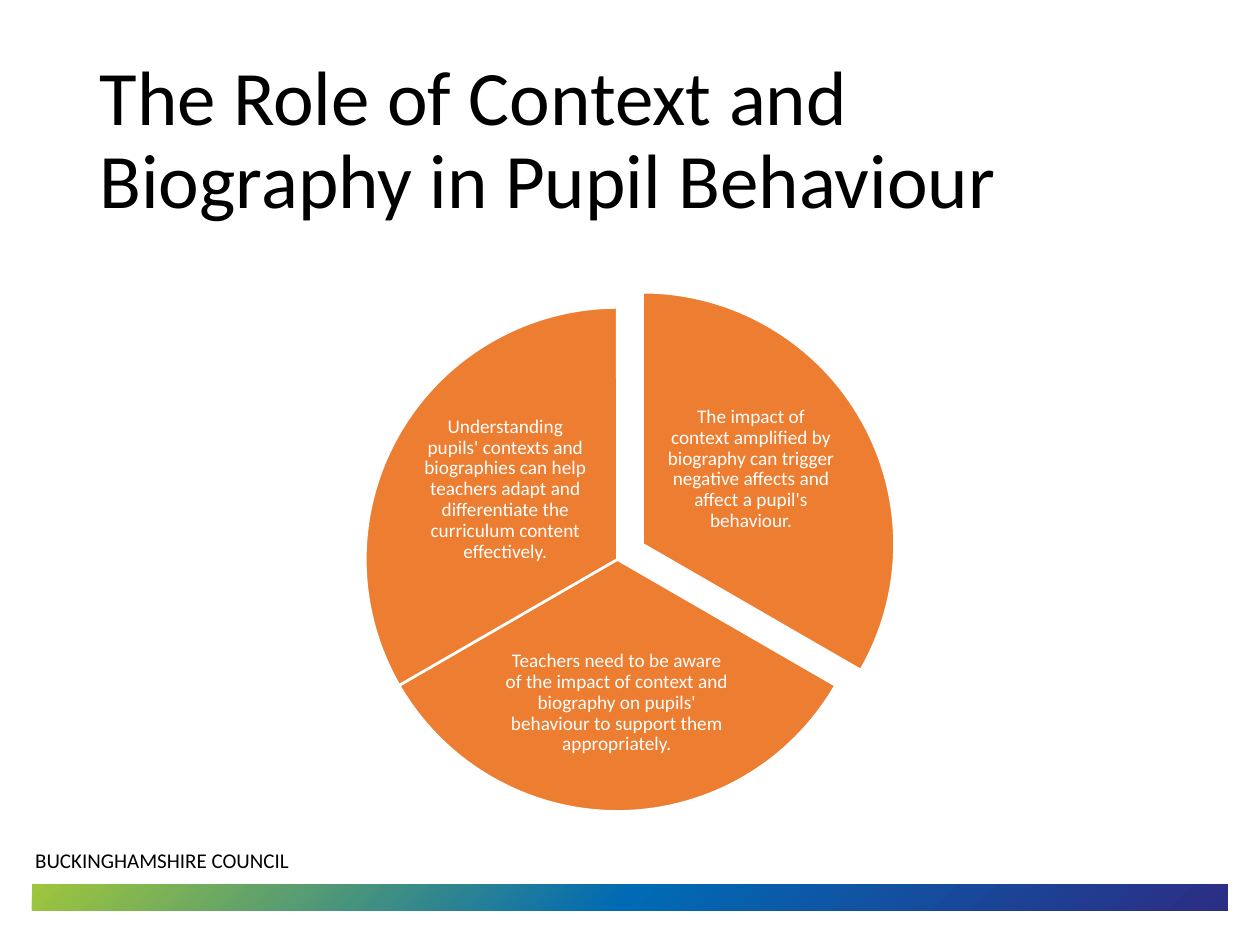
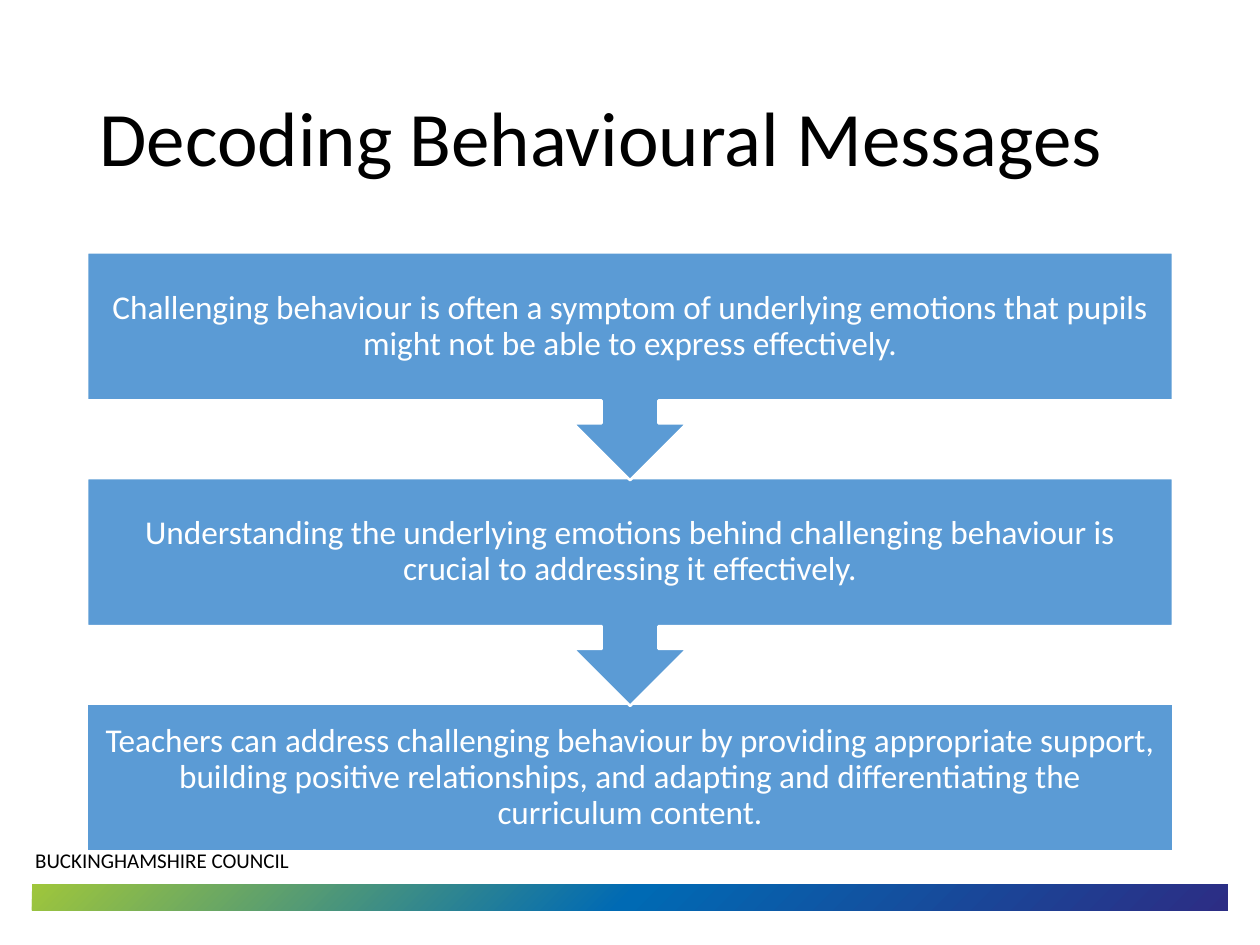
from pptx import Presentation
from pptx import util as u
from pptx.dml.color import RGBColor
from pptx.enum import shapes, text
from pptx.oxml import parse_xml
from pptx.oxml.ns import nsdecls

COLOURS = {"black": "000000", "white": "FFFFFF", "wedge": "ED7D31", "step": "5B9BD5",
           "navy": "2C2D84", "blue": "006AB4", "green": "9FC63B"}
FONT = "Calibri"
LEFT, WIDTH = 49.7, 620.6


def write(box, words, size, colour, align, anchor, inset=None, spacing=None):
    frame = box.text_frame
    frame.word_wrap = True
    frame.auto_size = text.MSO_AUTO_SIZE.NONE
    frame.vertical_anchor = anchor
    if inset is not None:
        frame.margin_left = frame.margin_right = u.Pt(inset)
        frame.margin_top = frame.margin_bottom = u.Pt(inset)
    para = frame.paragraphs[0]
    para.alignment = align
    if spacing:
        para.line_spacing = spacing
    span = para.add_run()
    span.text = words
    span.font.name = FONT
    span.font.size = u.Pt(size)
    span.font.color.rgb = RGBColor.from_string(COLOURS[colour])


def add_block(slide, kind, place, colour):
    """Add a filled shape with a thin white outline."""
    block = slide.shapes.add_shape(kind, *map(u.Pt, place))
    block.shadow.inherit = False
    block.fill.solid()
    block.fill.fore_color.rgb = RGBColor.from_string(COLOURS[colour])
    block.line.color.rgb = RGBColor.from_string(COLOURS["white"])
    block.line.width = u.Pt(1.5)
    return block


deck = Presentation()
deck.slide_width, deck.slide_height = u.Pt(720), u.Pt(540)

# Title, footer and gradient band on every slide
stops = "".join(
    f'<a:gs pos="{position * 1000}"><a:srgbClr val="{COLOURS[name]}"/></a:gs>'
    for position, name in ((0, "navy"), (50, "blue"), (100, "green")))
gradient = (f'<a:gradFill {nsdecls("a")} rotWithShape="1"><a:gsLst>{stops}</a:gsLst>'
            '<a:path path="circle"><a:fillToRect l="100000" t="100000"/></a:path></a:gradFill>')

for heading in ("The Role of Context and Biography in Pupil Behaviour",
                "Decoding Behavioural Messages"):
    slide = deck.slides.add_slide(deck.slide_layouts[5])
    band = slide.shapes.add_shape(shapes.MSO_SHAPE.RECTANGLE,
                                  u.Pt(18.2), u.Pt(505.2), u.Pt(683.5), u.Pt(14.9))
    band.shadow.inherit = False
    band.line.fill.background()
    properties = band.element.spPr
    properties.xfrm.set("flipH", "1")
    properties.prstGeom.addnext(parse_xml(gradient))

    footer = slide.shapes.add_textbox(u.Pt(13), u.Pt(481), u.Pt(346.3), u.Pt(21.8))
    write(footer, "BUCKINGHAMSHIRE COUNCIL", 12, "black",
          text.PP_ALIGN.LEFT, text.MSO_ANCHOR.TOP)

    title = slide.shapes.title
    title.left, title.top, title.width, title.height = map(u.Pt, (LEFT, 28.8, WIDTH, 104.4))
    write(title, heading, 44, "black", text.PP_ALIGN.LEFT, text.MSO_ANCHOR.MIDDLE, spacing=0.9)

context_slide, messages_slide = deck.slides

# Three equal wedges, the first pulled out; angles run clockwise from the right
DIAMETER = 288
wedges = [
    (223.2, 167, 270, (380.2, 220.3, 97.9, 95.8),
     "The impact of context amplified by biography can trigger negative affects "
     "and affect a pupil's behaviour."),
    (208.8, 175.7, 30, (287.3, 357.1, 130.3, 89.3),
     "Teachers need to be aware of the impact of context and biography on pupils' "
     "behaviour to support them appropriately."),
    (208.8, 175.7, 150, (239.8, 231.8, 97.9, 95.8),
     "Understanding pupils' contexts and biographies can help teachers adapt and "
     "differentiate the curriculum content effectively."),
]
for left, top, start, label_place, words in wedges:
    wedge = add_block(context_slide, shapes.MSO_SHAPE.PIE,
                      (left, top, DIAMETER, DIAMETER), "wedge")
    # One degree is 60000 units, and adjustments count in 100000 units
    wedge.adjustments[0] = start * 0.6
    wedge.adjustments[1] = (start + 120) % 360 * 0.6
    label = context_slide.shapes.add_textbox(*map(u.Pt, label_place))
    write(label, words, 11, "white", text.PP_ALIGN.CENTER, text.MSO_ANCHOR.MIDDLE, 1.1, 0.9)

# Steps from the bottom up, so that each arrow overlaps the step below it
FIRST_TOP, PITCH, STEP_HEIGHT, CALLOUT_HEIGHT = 144.2, 128.95, 84.6, 130.2
steps = [
    "Challenging behaviour is often a symptom of underlying emotions that pupils "
    "might not be able to express effectively.",
    "Understanding the underlying emotions behind challenging behaviour is crucial "
    "to addressing it effectively.",
    "Teachers can address challenging behaviour by providing appropriate support, "
    "building positive relationships, and adapting and differentiating the curriculum content.",
]
for index, words in reversed(list(enumerate(steps))):
    top = FIRST_TOP + index * PITCH
    if index == len(steps) - 1:
        add_block(messages_slide, shapes.MSO_SHAPE.RECTANGLE,
                  (LEFT, top, WIDTH, STEP_HEIGHT), "step")
    else:
        callout = add_block(messages_slide, shapes.MSO_SHAPE.UP_ARROW_CALLOUT,
                            (LEFT, top, WIDTH, CALLOUT_HEIGHT), "step")
        callout.rotation = 180
    label = messages_slide.shapes.add_textbox(*map(u.Pt, (LEFT, top, WIDTH, STEP_HEIGHT)))
    write(label, words, 19, "white", text.PP_ALIGN.CENTER, text.MSO_ANCHOR.MIDDLE, 10.6, 0.9)

deck.save("out.pptx")
